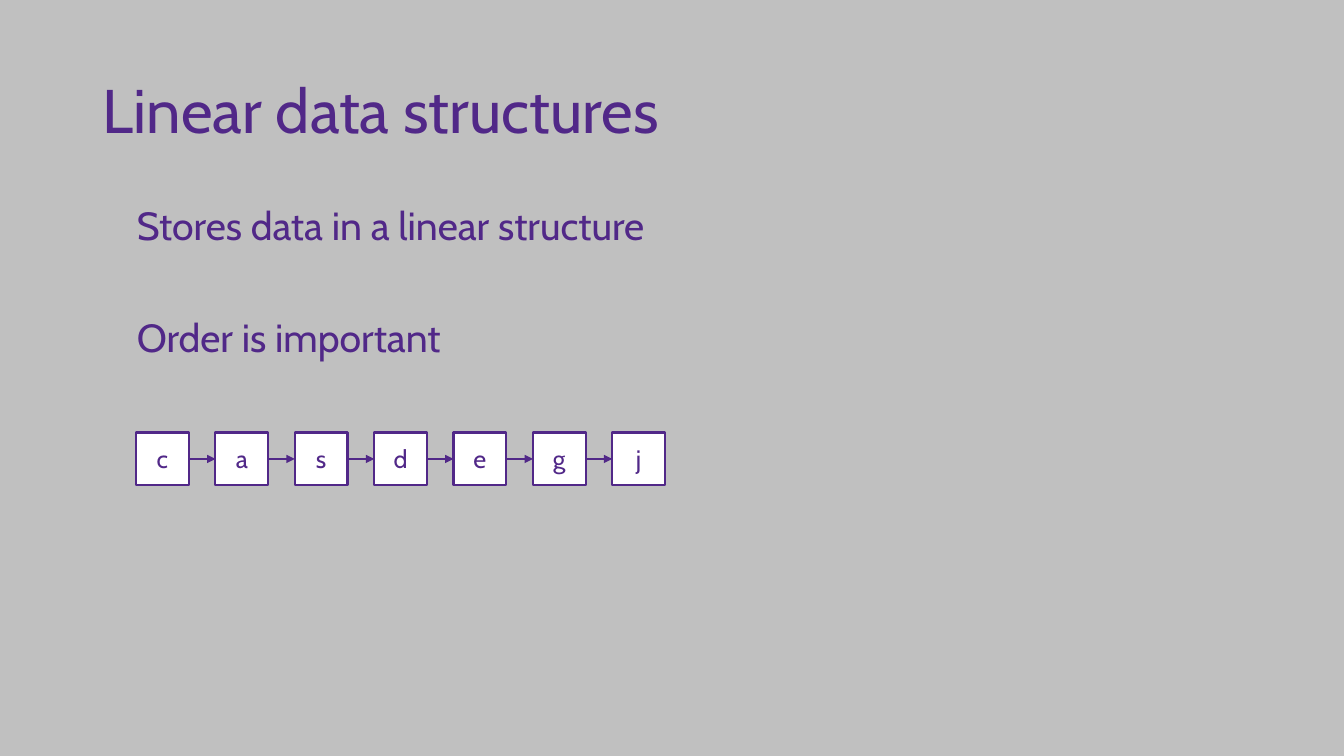
from pptx import Presentation
from pptx.dml.color import RGBColor
from pptx.enum import shapes, text
from pptx.oxml.ns import qn
from pptx.util import Cm, Pt
from lxml import etree

PURPLE = "512888"


def paint(target, color):
    """Give a fill or a line's fill one solid colour."""
    target.solid()
    target.fore_color.rgb = RGBColor.from_string(color)


def write(para, words, size, align):
    para.alignment = align
    run = para.add_run()
    run.text = words
    run.font.name = "Cabin"
    run.font.size = Pt(size)
    run.font.color.rgb = RGBColor.from_string(PURPLE)


deck = Presentation()
deck.slide_width, deck.slide_height = Cm(33.87), Cm(19.05)
slide = deck.slides.add_slide(deck.slide_layouts[5])
paint(slide.background.fill, "C0C0C0")
left, center = text.PP_ALIGN.LEFT, text.PP_ALIGN.CENTER

# Title
title = slide.shapes.title
title.left, title.top = Cm(2.34), Cm(1.02)
title.width, title.height = Cm(29.21), Cm(3.68)
frame = title.text_frame
frame.auto_size = text.MSO_AUTO_SIZE.NONE
frame.vertical_anchor = text.MSO_ANCHOR.MIDDLE
frame.paragraphs[0].line_spacing = 0.9
write(frame.paragraphs[0], "Linear data structures", 44, left)

# Body points
body = slide.shapes.add_textbox(Cm(3.2), Cm(5.08), Cm(28.35), Cm(12.09))
frame = body.text_frame
frame.word_wrap = True
points = ["Stores data in a linear structure", "Order is important"]
for i, point in enumerate(points):
    para = frame.add_paragraph() if i else frame.paragraphs[0]
    para.line_spacing = 0.9
    para.space_before = Pt(49.5 if i else 0)
    write(para, point, 28, left)

# Linked list of letters
side, pitch = 1.33, 2
nodes = []
for i, letter in enumerate("casdegj"):
    node = slide.shapes.add_shape(
        shapes.MSO_SHAPE.RECTANGLE,
        Cm(3.43 + i * pitch), Cm(10.9), Cm(side), Cm(side))
    node.shadow.inherit = False
    paint(node.fill, "FFFFFF")
    paint(node.line.fill, PURPLE)
    node.line.width = Pt(1.5)
    frame = node.text_frame
    frame.margin_left = frame.margin_right = 0
    frame.vertical_anchor = text.MSO_ANCHOR.MIDDLE
    write(frame.paragraphs[0], letter, 18, center)
    nodes.append(node)

for node, after in zip(nodes, nodes[1:]):
    link = slide.shapes.add_connector(shapes.MSO_CONNECTOR.STRAIGHT, 0, 0, 0, 0)
    link.begin_connect(node, 3)
    link.end_connect(after, 1)
    paint(link.line.fill, PURPLE)
    link.line.width = Pt(1.5)
    props = link.element.spPr
    etree.SubElement(props.find(qn("a:ln")), qn("a:tailEnd"), type="triangle")
    etree.SubElement(props, qn("a:effectLst"))

deck.save("out.pptx")
